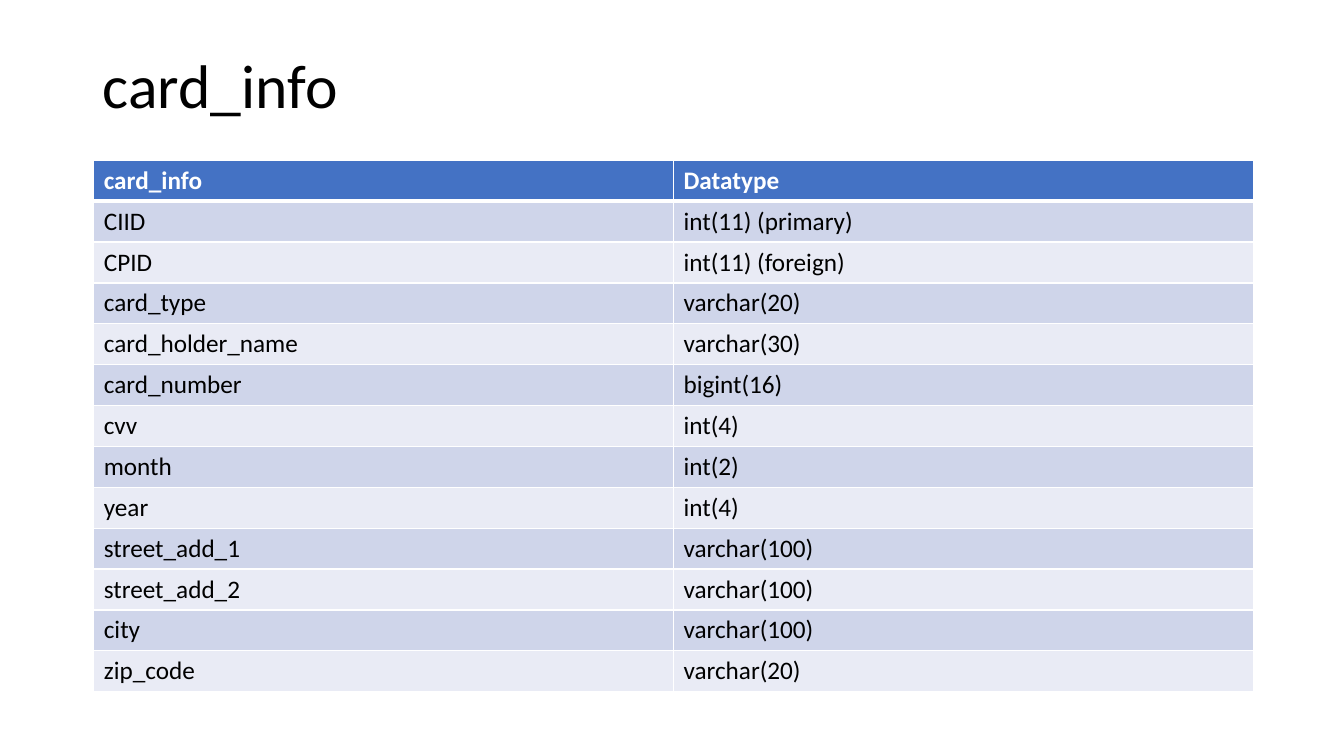
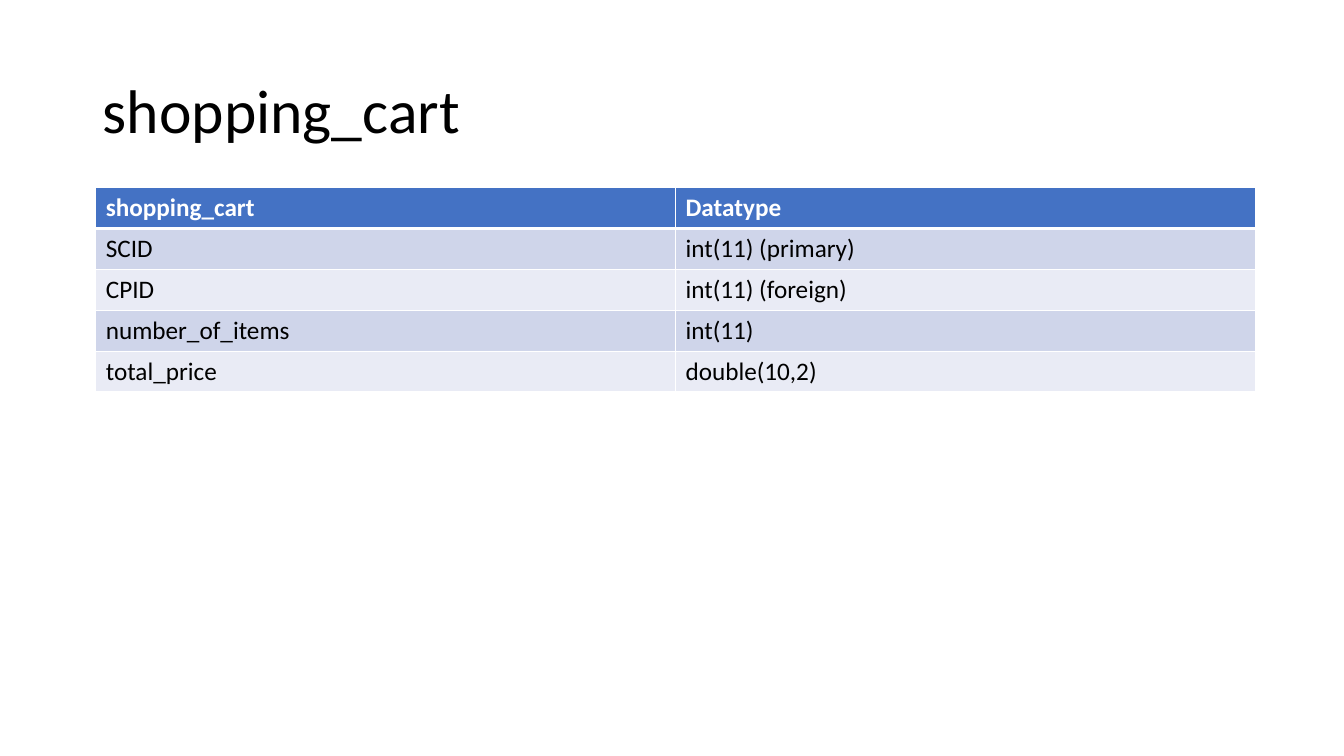
from lxml.etree import SubElement
from pptx import Presentation
from pptx.dml.color import RGBColor
from pptx.enum.text import MSO_ANCHOR, PP_ALIGN
from pptx.oxml.ns import qn
from pptx.util import Inches, Pt

FONT = "Calibri"
COLORS = {
    "text": "000000",
    "header": "4472C4",
    "header_text": "FFFFFF",
    "border": "FFFFFF",
    "band_dark": "CFD5EA",
    "band_light": "E9EBF5",
}
TITLE_LEFT, TITLE_TOP = 0.92, 0.4
CONTENT_WIDTH = 11.5

CARD_INFO = [
    ("card_info", "Datatype"),
    ("CIID", "int(11) (primary)"),
    ("CPID", "int(11) (foreign)"),
    ("card_type", "varchar(20)"),
    ("card_holder_name", "varchar(30)"),
    ("card_number", "bigint(16)"),
    ("cvv", "int(4)"),
    ("month", "int(2)"),
    ("year", "int(4)"),
    ("street_add_1", "varchar(100)"),
    ("street_add_2", "varchar(100)"),
    ("city", "varchar(100)"),
    ("zip_code", "varchar(20)"),
]
SHOPPING_CART = [
    ("shopping_cart", "Datatype"),
    ("SCID", "int(11) (primary)"),
    ("CPID", "int(11) (foreign)"),
    ("number_of_items", "int(11)"),
    ("total_price", "double(10,2)"),
]


def rgb(name):
    return RGBColor.from_string(COLORS[name])


def write(tf, text, size=18, color="text", bold=False, spacing=1.0):
    p = tf.paragraphs[0]
    p.alignment = PP_ALIGN.LEFT
    p.line_spacing = spacing
    r = p.add_run()
    r.text = text
    r.font.name = FONT
    r.font.size = Pt(size)
    r.font.bold = bold
    r.font.color.rgb = rgb(color)


def set_borders(cell, top=1, bottom=1):
    tc_pr = cell._tc.get_or_add_tcPr()
    for side, width in (("L", 1), ("R", 1), ("T", top), ("B", bottom)):
        ln = SubElement(tc_pr, qn(f"a:ln{side}"), w=str(Pt(width)))
        fill = SubElement(ln, qn("a:solidFill"))
        SubElement(fill, qn("a:srgbClr"), val=COLORS["border"])


def add_title(s, text, height):
    sp = s.shapes.title
    sp.left, sp.top = Inches(TITLE_LEFT), Inches(TITLE_TOP)
    sp.width, sp.height = Inches(CONTENT_WIDTH), Inches(height)
    sp.text_frame.vertical_anchor = MSO_ANCHOR.MIDDLE
    write(sp.text_frame, text, size=44, spacing=0.9)


def add_schema_table(s, rows, left, top, height):
    table = s.shapes.add_table(
        len(rows), len(rows[0]), Inches(left), Inches(top),
        Inches(CONTENT_WIDTH), Inches(height)).table
    for i, values in enumerate(rows):
        header = i == 0
        band = "header" if header else "band_dark" if i % 2 else "band_light"
        for j, text in enumerate(values):
            cell = table.cell(i, j)
            # Borders come before the fill in the cell properties
            set_borders(cell, top=3 if i == 1 else 1, bottom=3 if header else 1)
            cell.fill.solid()
            cell.fill.fore_color.rgb = rgb(band)
            write(cell.text_frame, text, bold=header,
                  color="header_text" if header else "text")


def add_schema_slide(prs, rows, title_height, left, top, height):
    s = prs.slides.add_slide(prs.slide_layouts.get_by_name("Title Only"))
    add_title(s, rows[0][0], title_height)
    add_schema_table(s, rows, left, top, height)


def main():
    prs = Presentation()
    prs.slide_width, prs.slide_height = Inches(13.33), Inches(7.5)
    # Card details
    add_schema_slide(prs, CARD_INFO, 0.95, left=0.93, top=1.59, height=5.27)
    # Shopping cart
    add_schema_slide(prs, SHOPPING_CART, 1.45, left=0.95, top=1.86, height=2.03)
    prs.save("out.pptx")


if __name__ == "__main__":
    main()
